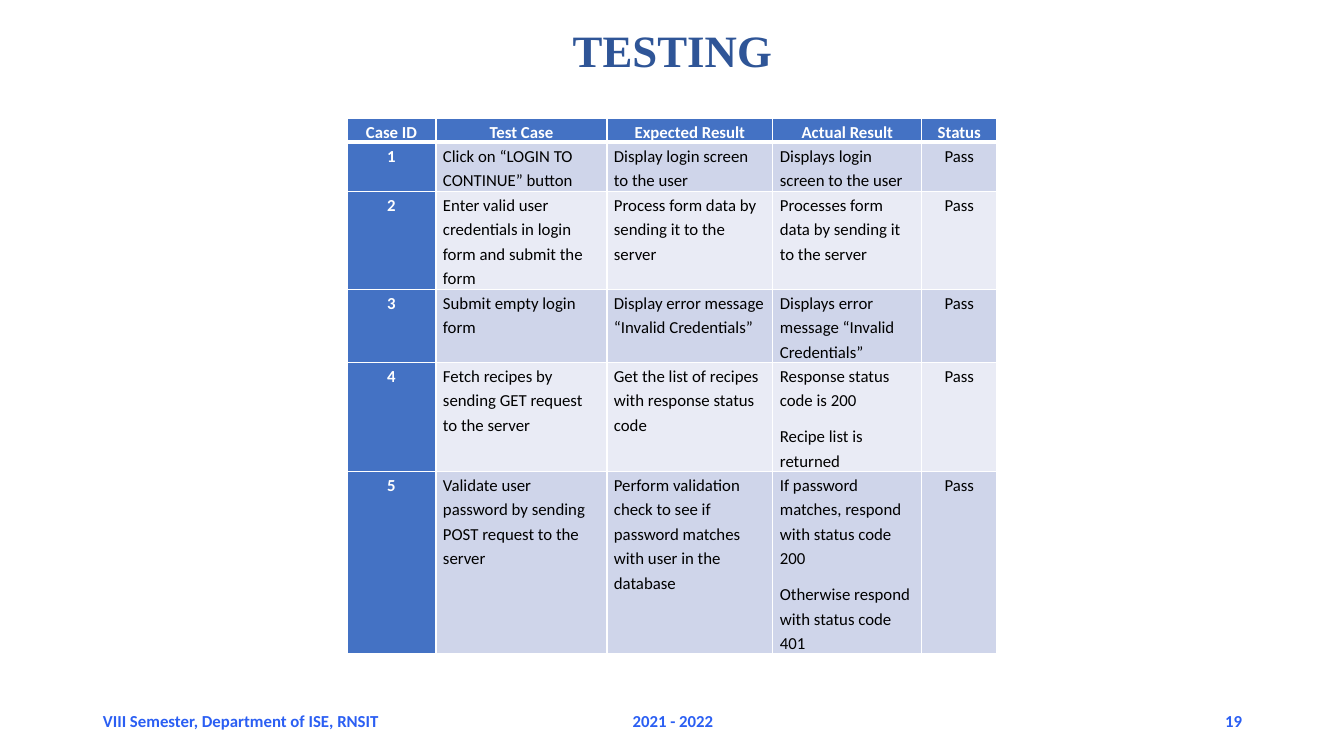
"""Build the testing slide with its table of test cases."""
from dataclasses import dataclass

from lxml.etree import SubElement
from pptx import Presentation
from pptx.dml.color import RGBColor
from pptx.enum.text import MSO_ANCHOR, MSO_AUTO_SIZE, PP_ALIGN
from pptx.oxml import parse_xml
from pptx.oxml.ns import nsdecls, qn
from pptx.slide import Slide
from pptx.table import _Cell
from pptx.text.text import TextFrame
from pptx.util import Emu, Pt

SLIDE_WIDTH, SLIDE_HEIGHT = 1344, 756
EMU_PER_PX = 12192000 / SLIDE_WIDTH


@dataclass(frozen=True)
class Theme:
    title_color: str = "2F5597"
    footer_color: str = "2B5FF3"
    header_fill: str = "4472C4"
    header_text: str = "FFFFFF"
    body_text: str = "000000"
    border: str = "FFFFFF"
    bands: tuple[str, str] = ("CFD5EA", "E9EBF5")
    title_font: str = "Times New Roman"
    body_font: str = "Calibri"
    title_size: int = 32
    body_size: int = 12
    border_width: int = 1
    header_border_width: int = 3


@dataclass(frozen=True)
class Box:
    left: int
    top: int
    width: int
    height: int

    def emu(self) -> tuple[Emu, Emu, Emu, Emu]:
        return px(self.left), px(self.top), px(self.width), px(self.height)


@dataclass(frozen=True)
class FooterPart:
    text: str
    box: Box
    alignment: PP_ALIGN


@dataclass(frozen=True)
class TestCase:
    case_id: str
    action: str
    expected: str
    actual: str
    status: str
    row_height: int

    def texts(self) -> tuple[str, ...]:
        return self.case_id, self.action, self.expected, self.actual, self.status


THEME = Theme()
TITLE_BOX = Box(93, 24, 1159, 77)
TABLE_LEFT, TABLE_TOP = 347, 118
COLUMN_WIDTHS = (89, 171, 166, 149, 75)
CENTERED_COLUMNS = (0, 4)
CELL_INSET = 7

FOOTER = (
    FooterPart("VIII Semester, Department of ISE, RNSIT", Box(93, 701, 353, 40), PP_ALIGN.LEFT),
    FooterPart("2021 - 2022", Box(446, 701, 454, 40), PP_ALIGN.CENTER),
    FooterPart("19", Box(950, 701, 302, 40), PP_ALIGN.RIGHT),
)

ROWS = (
    TestCase("Case ID", "Test Case", "Expected Result", "Actual Result", "Status", 24),
    TestCase("1", "Click on “LOGIN TO CONTINUE” button",
             "Display login screen to the user",
             "Displays login screen to the user", "Pass", 49),
    TestCase("2", "Enter valid user credentials in login form and submit the form",
             "Process form data by sending it to the server",
             "Processes form data by sending it to the server", "Pass", 98),
    TestCase("3", "Submit empty login form",
             "Display error message “Invalid Credentials”",
             "Displays error message “Invalid Credentials”", "Pass", 73),
    TestCase("4", "Fetch recipes by sending GET request to the server",
             "Get the list of recipes with response status code",
             "Response status code is 200\nRecipe list is returned", "Pass", 109),
    TestCase("5", "Validate user password by sending POST request to the server",
             "Perform validation check to see if password matches with user in the database",
             "If password matches, respond with status code 200\n"
             "Otherwise respond with status code 401", "Pass", 183),
)


def px(length: int) -> Emu:
    return Emu(round(length * EMU_PER_PX))


def format_text(frame: TextFrame, font_name: str, size: int, color: str, bold: bool,
                alignment: PP_ALIGN, line_spacing: float = 1.0, space_after: int = 0) -> None:
    for paragraph in frame.paragraphs:
        paragraph.alignment = alignment
        paragraph.line_spacing = line_spacing
        paragraph.space_before = Pt(0)
        paragraph.space_after = Pt(space_after)
        for run in paragraph.runs:
            run.font.name = font_name
            run.font.size = Pt(size)
            run.font.bold = bold
            run.font.color.rgb = RGBColor.from_string(color)


def add_title(slide: Slide, text: str) -> None:
    title = slide.shapes.title
    title.left, title.top, title.width, title.height = TITLE_BOX.emu()
    frame = title.text_frame
    frame.text = text
    frame.auto_size = MSO_AUTO_SIZE.NONE
    frame.vertical_anchor = MSO_ANCHOR.TOP
    format_text(frame, THEME.title_font, THEME.title_size, THEME.title_color, True,
                PP_ALIGN.CENTER, line_spacing=0.9)


def add_footer_part(slide: Slide, part: FooterPart) -> None:
    frame = slide.shapes.add_textbox(*part.box.emu()).text_frame
    frame.word_wrap = True
    frame.vertical_anchor = MSO_ANCHOR.MIDDLE
    frame.text = part.text
    format_text(frame, THEME.body_font, THEME.body_size, THEME.footer_color, True, part.alignment)


def set_borders(cell: _Cell, row_index: int) -> None:
    thick_edge = {0: "lnB", 1: "lnT"}.get(row_index)
    properties = cell._tc.get_or_add_tcPr()
    for position, edge in enumerate(("lnL", "lnR", "lnT", "lnB")):
        width = THEME.header_border_width if edge == thick_edge else THEME.border_width
        line = parse_xml(f'<a:{edge} {nsdecls("a")} w="{Pt(width)}"/>')
        fill = SubElement(line, qn("a:solidFill"))
        SubElement(fill, qn("a:srgbClr"), val=THEME.border)
        properties.insert(position, line)


def fill_cell(cell: _Cell, text: str, row_index: int, column_index: int) -> None:
    is_header = row_index == 0 or column_index == 0
    is_centered = row_index == 0 or column_index in CENTERED_COLUMNS
    cell.margin_left = cell.margin_right = px(CELL_INSET)
    cell.margin_top = cell.margin_bottom = 0
    cell.fill.solid()
    cell.fill.fore_color.rgb = RGBColor.from_string(
        THEME.header_fill if is_header else THEME.bands[(row_index - 1) % 2])
    cell.text_frame.text = text
    format_text(cell.text_frame, THEME.body_font, THEME.body_size,
                THEME.header_text if is_header else THEME.body_text, is_header,
                PP_ALIGN.CENTER if is_centered else PP_ALIGN.LEFT,
                line_spacing=1.2, space_after=8)
    set_borders(cell, row_index)


def add_test_table(slide: Slide) -> None:
    box = Box(TABLE_LEFT, TABLE_TOP, sum(COLUMN_WIDTHS), sum(row.row_height for row in ROWS))
    table = slide.shapes.add_table(len(ROWS), len(COLUMN_WIDTHS), *box.emu()).table
    for column, width in zip(table.columns, COLUMN_WIDTHS):
        column.width = px(width)
    for row_index, test_case in enumerate(ROWS):
        table.rows[row_index].height = px(test_case.row_height)
        for column_index, text in enumerate(test_case.texts()):
            fill_cell(table.cell(row_index, column_index), text, row_index, column_index)


def main() -> None:
    presentation = Presentation()
    presentation.slide_width, presentation.slide_height = px(SLIDE_WIDTH), px(SLIDE_HEIGHT)
    slide = presentation.slides.add_slide(presentation.slide_layouts.get_by_name("Title Only"))
    add_title(slide, "TESTING")
    for part in FOOTER:
        add_footer_part(slide, part)
    add_test_table(slide)
    presentation.save("out.pptx")


if __name__ == "__main__":
    main()
